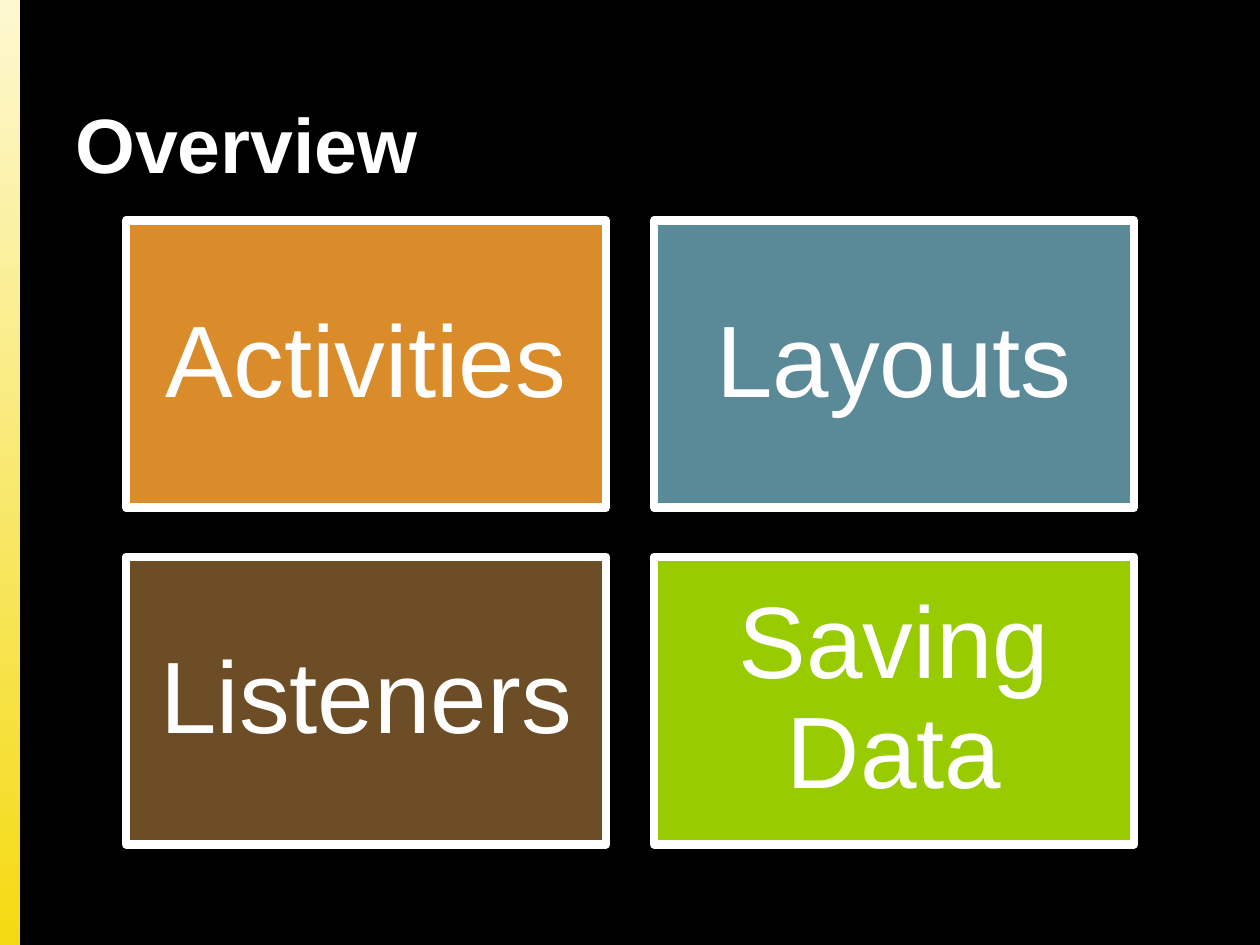
import pptx
import pptx.dml.color
import pptx.enum.shapes
import pptx.enum.text
import pptx.util
from pptx.util import Inches

FONT = "Arial"
WHITE = "FFFFFF"
TOPICS = [
    ("Activities", "DA8C2B"),
    ("Layouts", "5A8A98"),
    ("Listeners", "6D4D26"),
    ("Saving Data", "99CC00"),
]


def color(hex_string):
    return pptx.dml.color.RGBColor.from_string(hex_string)


def add_rectangle(page, left, top, width, height):
    box = page.shapes.add_shape(
        pptx.enum.shapes.MSO_SHAPE.RECTANGLE, left, top, width, height)
    box.shadow.inherit = False
    return box


def set_text(box, text, size, bold=False):
    """Write one paragraph in white and return it."""
    box.text_frame.word_wrap = True
    box.text_frame.text = text
    para = box.text_frame.paragraphs[0]
    font = para.runs[0].font
    font.name = FONT
    font.size = pptx.util.Pt(size)
    font.bold = bold
    font.color.rgb = color(WHITE)
    return para


def add_side_band(page, left, top, width, height):
    band = add_rectangle(page, left, top, width, height)
    band.line.fill.background()
    band.fill.gradient()
    band.fill.gradient_angle = 90
    for stop, shade in zip(band.fill.gradient_stops, ("F4DA12", "FDF8D0")):
        stop.color.rgb = color(shade)


def add_title(page, left, top, width, height):
    title = page.shapes.add_textbox(left, top, width, height)
    title.text_frame.vertical_anchor = pptx.enum.text.MSO_ANCHOR.BOTTOM
    set_text(title, "Overview", 44, bold=True)


def add_tile(page, left, top, width, height, text, fill):
    tile = add_rectangle(page, left, top, width, height)
    tile.fill.solid()
    tile.fill.fore_color.rgb = color(fill)
    tile.line.color.rgb = color(WHITE)
    tile.line.width = pptx.util.Pt(5)
    frame = tile.text_frame
    frame.margin_left = frame.margin_right = Inches(0.24)
    frame.margin_top = frame.margin_bottom = Inches(0.24)
    frame.vertical_anchor = pptx.enum.text.MSO_ANCHOR.MIDDLE
    para = set_text(tile, text, 58)
    para.alignment = pptx.enum.text.PP_ALIGN.CENTER
    para.line_spacing = 0.9


def add_topic_grid(page, left, top, width, height, columns=2):
    tile_width, tile_height = Inches(3.81), Inches(2.28)
    column_step = width - tile_width
    row_step = height - tile_height
    for index, (text, fill) in enumerate(TOPICS):
        row, column = divmod(index, columns)
        add_tile(page, left + column * column_step, top + row * row_step,
                 tile_width, tile_height, text, fill)


def main():
    deck = pptx.Presentation()
    deck.slide_width, deck.slide_height = Inches(10), Inches(7.5)
    page = deck.slides.add_slide(deck.slide_layouts[6])
    page.background.fill.solid()
    page.background.fill.fore_color.rgb = color("000000")
    add_side_band(page, 0, 0, Inches(0.16), deck.slide_height)
    add_title(page, Inches(0.5), Inches(0.3), Inches(9), Inches(1.25))
    add_topic_grid(page, Inches(1), Inches(1.75), Inches(8), Inches(4.95))
    deck.save("out.pptx")


if __name__ == "__main__":
    main()
